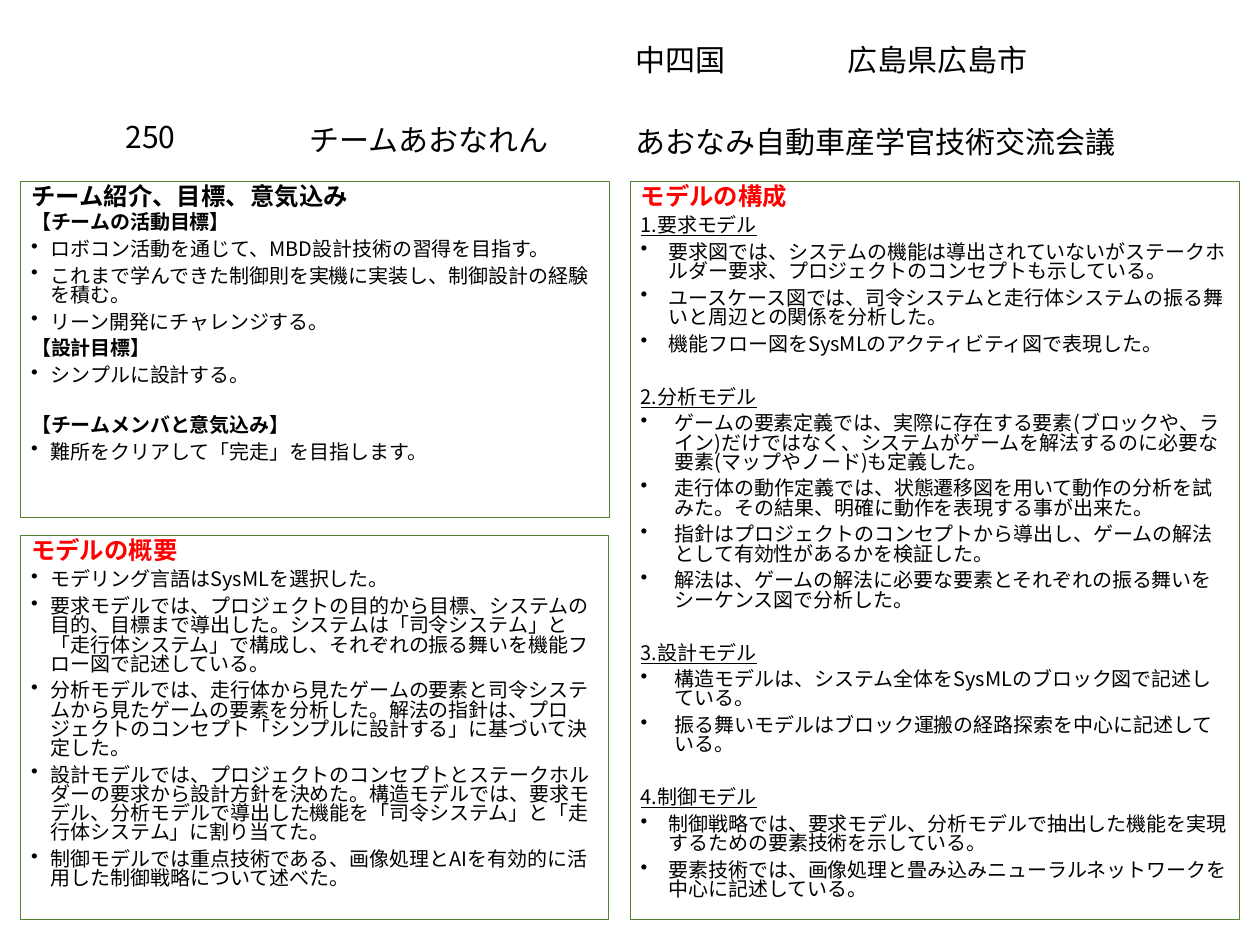
from dataclasses import dataclass

from lxml import etree
from pptx import Presentation
from pptx.dml.color import RGBColor
from pptx.enum.shapes import MSO_SHAPE
from pptx.enum.text import MSO_ANCHOR, PP_ALIGN
from pptx.oxml.ns import qn
from pptx.util import Cm, Pt

RECTANGLE = MSO_SHAPE.RECTANGLE
TOP, MIDDLE = MSO_ANCHOR.TOP, MSO_ANCHOR.MIDDLE
LEFT = PP_ALIGN.LEFT


@dataclass(frozen=True)
class Theme:
    black: RGBColor = RGBColor(0, 0, 0)
    red: RGBColor = RGBColor(255, 0, 0)
    green: RGBColor = RGBColor(0x54, 0x82, 0x35)
    font: str = "Noto Sans CJK JP"
    heading_font: str = "Times New Roman"
    entry_size: float = 24
    heading_size: float = 19.5
    body_size: float = 16
    line_spacing: float = 0.8
    heading_gap: float = 4
    body_gap: float = 6
    section_gap: float = 27


THEME = Theme()

ENTRIES = [
    ("250", (3.18, 3.12, 2.4, 1.47)),
    ("チームあおなれん", (8.38, 3.33, 7.7, 1.24)),
    ("あおなみ自動車産学官技術交流会議", (17.58, 3.25, 14.6, 1.47)),
    ("中四国", (17.58, 0.94, 4.8, 1.47)),
    ("広島県広島市", (23.57, 0.94, 6.4, 1.47)),
]

TEAM_SECTIONS = [
    ("【チームの活動目標】", dict(gap=0, line_spacing=1), [
        "ロボコン活動を通じて、MBD設計技術の習得を目指す。",
        "これまで学んできた制御則を実機に実装し、制御設計の経験を積む。",
        "リーン開発にチャレンジする。",
    ]),
    ("【設計目標】", dict(), ["シンプルに設計する。"]),
    ("【チームメンバと意気込み】", dict(gap=24.5), ["難所をクリアして「完走」を目指します。"]),
]

OVERVIEW = [
    "モデリング言語はSysMLを選択した。",
    "要求モデルでは、プロジェクトの目的から目標、システムの目的、目標まで導出した。"
    "システムは「司令システム」と「走行体システム」で構成し、それぞれの振る舞いを機能フロー図で記述している。",
    "分析モデルでは、走行体から見たゲームの要素と司令システムから見たゲームの要素を分析した。"
    "解法の指針は、プロジェクトのコンセプト「シンプルに設計する」に基づいて決定した。",
    "設計モデルでは、プロジェクトのコンセプトとステークホルダーの要求から設計方針を決めた。"
    "構造モデルでは、要求モデル、分析モデルで導出した機能を「司令システム」と「走行体システム」に割り当てた。",
    "制御モデルでは重点技術である、画像処理とAIを有効的に活用した制御戦略について述べた。",
]

MODELS = [
    ("要求モデル", 0.79, [
        "要求図では、システムの機能は導出されていないがステークホルダー要求、プロジェクトのコンセプトも示している。",
        "ユースケース図では、司令システムと走行体システムの振る舞いと周辺との関係を分析した。",
        "機能フロー図をSysMLのアクティビティ図で表現した。",
    ]),
    ("分析モデル", 0.97, [
        "ゲームの要素定義では、実際に存在する要素(ブロックや、ライン)だけではなく、"
        "システムがゲームを解法するのに必要な要素(マップやノード)も定義した。",
        "走行体の動作定義では、状態遷移図を用いて動作の分析を試みた。その結果、明確に動作を表現する事が出来た。",
        "指針はプロジェクトのコンセプトから導出し、ゲームの解法として有効性があるかを検証した。",
        "解法は、ゲームの解法に必要な要素とそれぞれの振る舞いをシーケンス図で分析した。",
    ]),
    ("設計モデル", 0.97, [
        "構造モデルは、システム全体をSysMLのブロック図で記述している。",
        "振る舞いモデルはブロック運搬の経路探索を中心に記述している。",
    ]),
    ("制御モデル", 0.79, [
        "制御戦略では、要求モデル、分析モデルで抽出した機能を実現するための要素技術を示している。",
        "要素技術では、画像処理と畳み込みニューラルネットワークを中心に記述している。",
    ]),
]


def add_text(frame, text, *, size=THEME.body_size, color=THEME.black, font=THEME.font,
             bold=False, underline=False, gap=THEME.body_gap,
             line_spacing=THEME.line_spacing, bullet_indent=0):
    paragraph = frame.paragraphs[0]
    if paragraph.runs:
        paragraph = frame.add_paragraph()
    paragraph.alignment = LEFT
    paragraph.line_spacing = line_spacing
    paragraph.space_before = Pt(gap)
    if bullet_indent:
        properties = paragraph._p.get_or_add_pPr()
        properties.set("marL", str(Cm(bullet_indent)))
        properties.set("indent", str(-Cm(bullet_indent)))
        etree.SubElement(properties, qn("a:buChar"), char="•")
    run = paragraph.add_run()
    run.text = text
    run.font.name = font
    run.font.size = Pt(size)
    run.font.bold = bold
    run.font.underline = underline
    run.font.color.rgb = color
    etree.SubElement(run._r.get_or_add_rPr(), qn("a:ea"), typeface=THEME.font)


def set_frame(shape, horizontal, vertical, anchor, wrap=True):
    frame = shape.text_frame
    frame.margin_left = frame.margin_right = Cm(horizontal)
    frame.margin_top = frame.margin_bottom = Cm(vertical)
    frame.vertical_anchor = anchor
    frame.word_wrap = wrap
    return frame


def add_entry(slide, box, text):
    shape = slide.shapes.add_textbox(*map(Cm, box))
    frame = set_frame(shape, 0.36, 0.18, MIDDLE)
    add_text(frame, text, size=THEME.entry_size, gap=0, line_spacing=1)


def add_panel(slide, box, heading, color):
    shape = slide.shapes.add_shape(RECTANGLE, *map(Cm, box))
    shape.shadow.inherit = False
    shape.fill.background()
    shape.line.color.rgb = THEME.green
    shape.line.width = Pt(0.75)
    frame = set_frame(shape, 0.3, 0.15, TOP)
    add_text(frame, heading, size=THEME.heading_size, color=color,
             font=THEME.heading_font, bold=True, gap=THEME.heading_gap)
    return frame


def add_bullets(frame, items, indent):
    for item in items:
        add_text(frame, item, bullet_indent=indent)


def add_structure(slide, box):
    frame = add_panel(slide, box, "モデルの構成", THEME.red)
    for number, (title, indent, items) in enumerate(MODELS, 1):
        gap = THEME.body_gap if number == 1 else THEME.section_gap
        add_text(frame, f"{number}.{title}", underline=True, gap=gap)
        add_bullets(frame, items, indent)


def add_team(slide, box):
    frame = add_panel(slide, box, "チーム紹介、目標、意気込み", THEME.black)
    for title, spacing, items in TEAM_SECTIONS:
        add_text(frame, title, bold=True, **spacing)
        add_bullets(frame, items, 0.56)


def add_overview(slide, box):
    frame = add_panel(slide, box, "モデルの概要", THEME.red)
    add_bullets(frame, OVERVIEW, 0.56)


def main():
    presentation = Presentation()
    presentation.slide_width = Cm(35.56)
    presentation.slide_height = Cm(26.67)
    slide = presentation.slides.add_slide(presentation.slide_layouts[6])
    for text, box in ENTRIES:
        add_entry(slide, box, text)
    add_structure(slide, (17.78, 5.11, 17.2, 20.83))
    add_team(slide, (0.58, 5.11, 16.61, 9.5))
    add_overview(slide, (0.58, 15.11, 16.59, 10.85))
    presentation.save("out.pptx")


if __name__ == "__main__":
    main()
